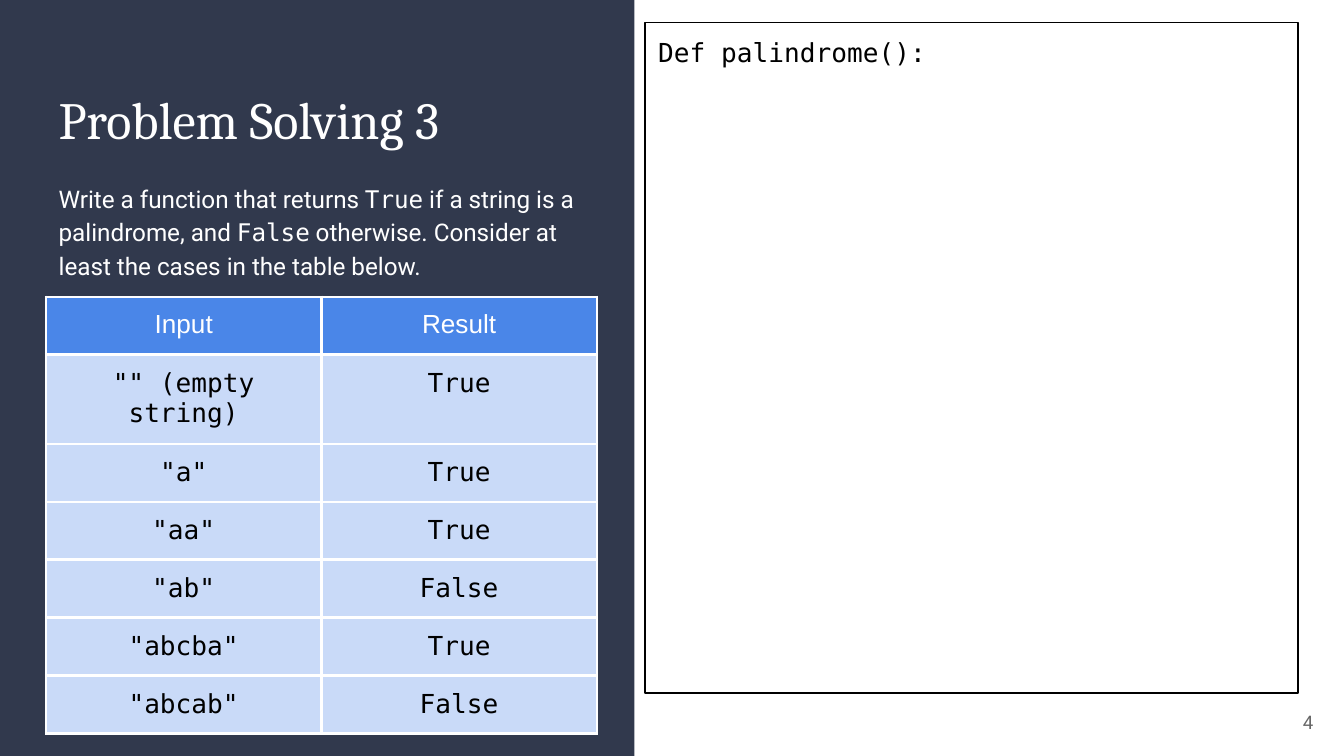
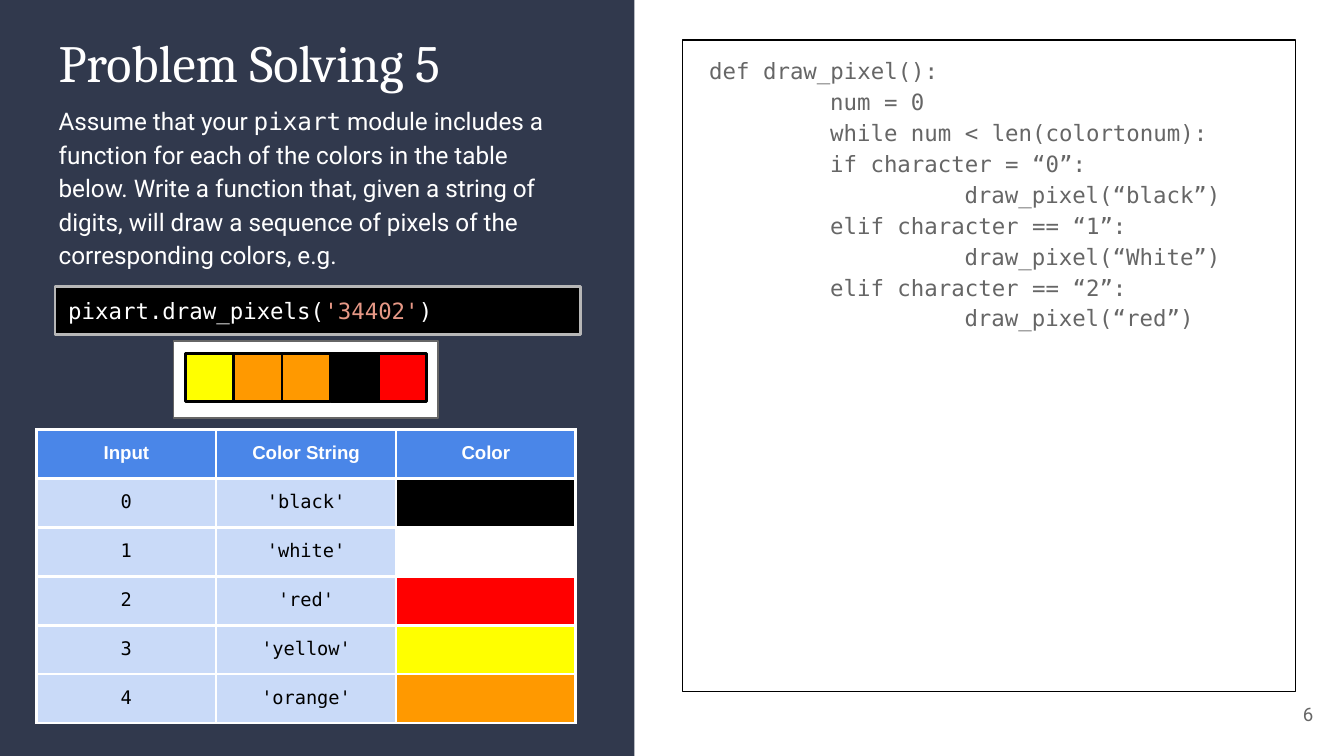
from dataclasses import dataclass, replace
from typing import Optional

from lxml import etree
from pptx import Presentation
from pptx.dml.color import RGBColor
from pptx.enum.shapes import MSO_SHAPE
from pptx.enum.text import MSO_ANCHOR, PP_ALIGN
from pptx.oxml.ns import qn
from pptx.util import Cm, Pt

RECT = MSO_SHAPE.RECTANGLE
TOP, MIDDLE = MSO_ANCHOR.TOP, MSO_ANCHOR.MIDDLE
LEFT, CENTER, RIGHT = PP_ALIGN.LEFT, PP_ALIGN.CENTER, PP_ALIGN.RIGHT

HEX = {
    "navy": "31394D", "white": "FFFFFF", "black": "000000",
    "gray": "666666", "silver": "B7B7B7", "blue": "4A86E8",
    "pale": "C9DAF8", "red": "FF0000", "yellow": "FFFF00",
    "orange": "FF9900", "salmon": "E69886",
}
COLORS = ["black", "white", "red", "yellow", "orange"]
MONO = "DejaVu Sans Mono"
INSET = Cm(0.25)
TAB = 2.54


@dataclass(frozen=True)
class Style:
    face: str
    size: float
    color: str = "white"
    bold: bool = False


@dataclass(frozen=True)
class Bit:
    text: str
    style: Style


@dataclass(frozen=True)
class Line:
    bits: list[Bit]
    align: PP_ALIGN = LEFT
    space: float = 1.0
    indent: float = 0


@dataclass(frozen=True)
class Area:
    left: float
    top: float
    width: float
    height: float


@dataclass(frozen=True)
class Look:
    fill: Optional[str] = None
    line: Optional[str] = None
    weight: float = 0.75


@dataclass(frozen=True)
class Grid:
    area: Area
    rows: list[list[str]]
    head: Style
    body: Style


TITLE = Style("Cambria", 28)
BODY = Style("Roboto", 13)
TERM = replace(BODY, face=MONO)
PAGE = Style("Roboto", 10, "gray")
CALL = Style(MONO, 12)


def rgb(name: str) -> RGBColor:
    return RGBColor.from_string(HEX[name])


def set_font(font, style: Style) -> None:
    font.name = style.face
    font.size = Pt(style.size)
    font.bold = style.bold
    font.color.rgb = rgb(style.color)


def write(frame, lines: list[Line]) -> None:
    for i, line in enumerate(lines):
        para = frame.add_paragraph() if i else frame.paragraphs[0]
        para.alignment = line.align
        para.line_spacing = line.space
        if line.indent:
            para._p.get_or_add_pPr().set("marL", str(Cm(line.indent)))
        if len(line.bits) == 1:
            set_font(para.font, line.bits[0].style)
        for bit in line.bits:
            run = para.add_run()
            run.text = bit.text
            if len(line.bits) > 1:
                set_font(run.font, bit.style)


def fit(frame, anchor: MSO_ANCHOR) -> None:
    frame.word_wrap = True
    frame.vertical_anchor = anchor
    frame.margin_left = frame.margin_right = INSET
    frame.margin_top = frame.margin_bottom = INSET


def place(area: Area) -> tuple:
    return Cm(area.left), Cm(area.top), Cm(area.width), Cm(area.height)


def add_text(slide, area: Area, lines: list[Line], anchor: MSO_ANCHOR = TOP) -> None:
    frame = slide.shapes.add_textbox(*place(area)).text_frame
    fit(frame, anchor)
    write(frame, lines)


def add_box(shapes, area: Area, look: Look, lines: Optional[list[Line]] = None,
            anchor: MSO_ANCHOR = TOP) -> None:
    box = shapes.add_shape(RECT, *place(area))
    box.shadow.inherit = False
    box.element.remove(box.element.find(qn("p:style")))
    if look.fill:
        box.fill.solid()
        box.fill.fore_color.rgb = rgb(look.fill)
    else:
        box.fill.background()
    if look.line:
        box.line.color.rgb = rgb(look.line)
        box.line.width = Pt(look.weight)
    else:
        box.line.fill.background()
    if lines:
        fit(box.text_frame, anchor)
        write(box.text_frame, lines)


def add_edges(cell) -> None:
    props = cell._tc.get_or_add_tcPr()
    for side in ("lnL", "lnR", "lnT", "lnB"):
        edge = etree.SubElement(props, qn(f"a:{side}"), w=str(Pt(1.5)))
        fill = etree.SubElement(edge, qn("a:solidFill"))
        etree.SubElement(fill, qn("a:srgbClr"), val=HEX["white"])


def add_grid(slide, grid: Grid) -> None:
    rows, cols = len(grid.rows), len(grid.rows[0])
    table = slide.shapes.add_table(rows, cols, *place(grid.area)).table
    table.first_row = table.horz_banding = False
    for r, row in enumerate(grid.rows):
        style = grid.body if r else grid.head
        for c, text in enumerate(row):
            cell = table.cell(r, c)
            add_edges(cell)
            swatch = r > 0 and text in COLORS
            pad = 0 if swatch else INSET
            cell.margin_left = cell.margin_right = INSET
            cell.margin_top = cell.margin_bottom = pad
            cell.fill.solid()
            if swatch:
                cell.fill.fore_color.rgb = rgb(text)
                set_font(cell.text_frame.paragraphs[0].font, style)
            else:
                cell.fill.fore_color.rgb = rgb("pale" if r else "blue")
                write(cell.text_frame, [Line([Bit(text, style)], CENTER)])


def add_base(deck, title: str, top: float, page: str, foot: float):
    slide = deck.slides.add_slide(deck.slide_layouts[6])
    add_box(slide.shapes, Area(0, 0, 11.99, 14.29), Look("navy"))
    add_text(slide, Area(0.86, top, 10.29, 1.78), [Line([Bit(title, TITLE)])])
    add_text(slide, Area(23.55, foot, 1.52, 1.09),
             [Line([Bit(page, PAGE)], RIGHT)], MIDDLE)
    return slide


def add_word(deck) -> None:
    slide = add_base(deck, "Problem Solving 3", 1.4, "4", 13.11)
    task = [
        Bit("Write a function that returns ", BODY),
        Bit("True", TERM),
        Bit(" if a string is a palindrome, and ", BODY),
        Bit("False", TERM),
        Bit(" otherwise. Consider at least the cases in the table below.", BODY),
    ]
    add_text(slide, Area(0.86, 3.15, 10.29, 2.46), [Line(task, space=1.15)])
    code = Style(MONO, 14, "black")
    add_box(slide.shapes, Area(12.19, 0.43, 12.34, 12.67), Look(line="black"),
            [Line([Bit("Def palindrome():", code)])])
    rows = [
        ["Input", "Result"],
        ['"" (empty string)', "True"],
        ['"a"', "True"],
        ['"aa"', "True"],
        ['"ab"', "False"],
        ['"abcba"', "True"],
        ['"abcab"', "False"],
    ]
    add_grid(slide, Grid(Area(0.87, 5.61, 10.41, 7.47), rows,
                         Style("Arial", 14), code))


def add_pixels(slide) -> None:
    add_box(slide.shapes, Area(3.28, 6.45, 5, 1.45), Look("white", "gray"))
    group = slide.shapes.add_group_shape()
    side = 0.91
    for i, digit in enumerate("34402"):
        add_box(group.shapes, Area(3.51 + i * side, 6.68, side, side),
                Look(COLORS[int(digit)], "black", 1.5))


def add_art(deck) -> None:
    slide = add_base(deck, "Problem Solving 5", 0.33, "6", 12.95)
    task = [
        Bit("Assume that your ", BODY),
        Bit("pixart", TERM),
        Bit(" module includes a function for each of the colors in the table "
            "below. Write a function that, given a string of digits, will draw "
            "a sequence of pixels of the corresponding colors, e.g.", BODY),
    ]
    add_text(slide, Area(0.86, 1.68, 10.29, 3.61), [Line(task, space=1.15)])
    call = [
        Bit("pixart.draw_pixels(", CALL),
        Bit("'34402'", replace(CALL, color="salmon")),
        Bit(")", CALL),
    ]
    add_box(slide.shapes, Area(1.04, 5.42, 9.93, 0.9),
            Look("black", "silver", 1.5), [Line(call)], MIDDLE)
    add_pixels(slide)
    code = [
        (0.1, "def draw_pixel():"),
        (1, "num = 0"),
        (1, "while num < len(colortonum):"),
        (1, "if character = “0”:"),
        (2, "draw_pixel(“black”)"),
        (1, "elif character == “1”:"),
        (2, "draw_pixel(“White”)"),
        (1, "elif character == “2”:"),
        (2, "draw_pixel(“red”)"),
    ]
    style = replace(CALL, color="gray")
    add_box(slide.shapes, Area(12.9, 0.76, 11.58, 12.31), Look(line="black"),
            [Line([Bit(text, style)], space=1.15, indent=tabs * TAB)
             for tabs, text in code])
    rows = [["Input", "Color String", "Color"]]
    rows += [[str(i), f"'{name}'", name] for i, name in enumerate(COLORS)]
    add_grid(slide, Grid(Area(0.69, 8.12, 10.19, 5.47), rows,
                         Style("Arial", 10, bold=True),
                         Style(MONO, 10, "black")))


def main() -> None:
    deck = Presentation()
    deck.slide_width, deck.slide_height = Cm(25.4), Cm(14.29)
    add_word(deck)
    add_art(deck)
    deck.save("out.pptx")


if __name__ == "__main__":
    main()
